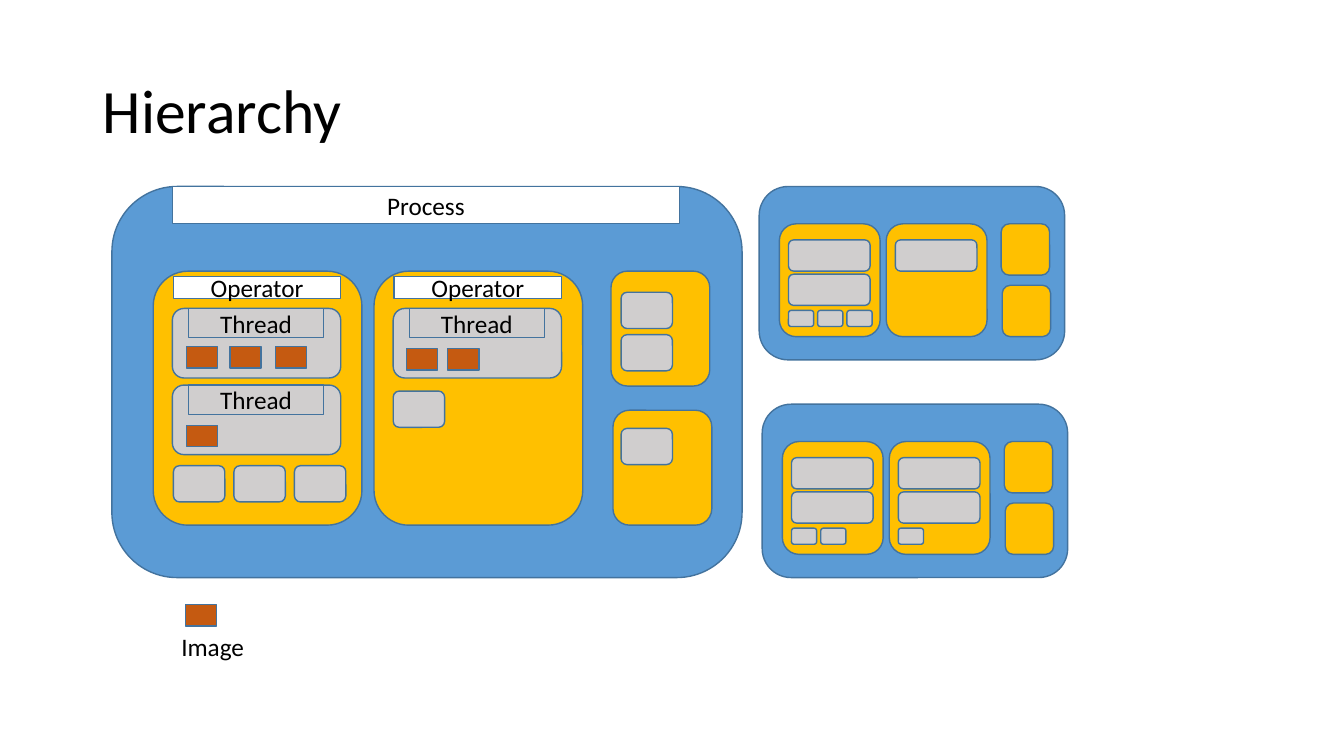
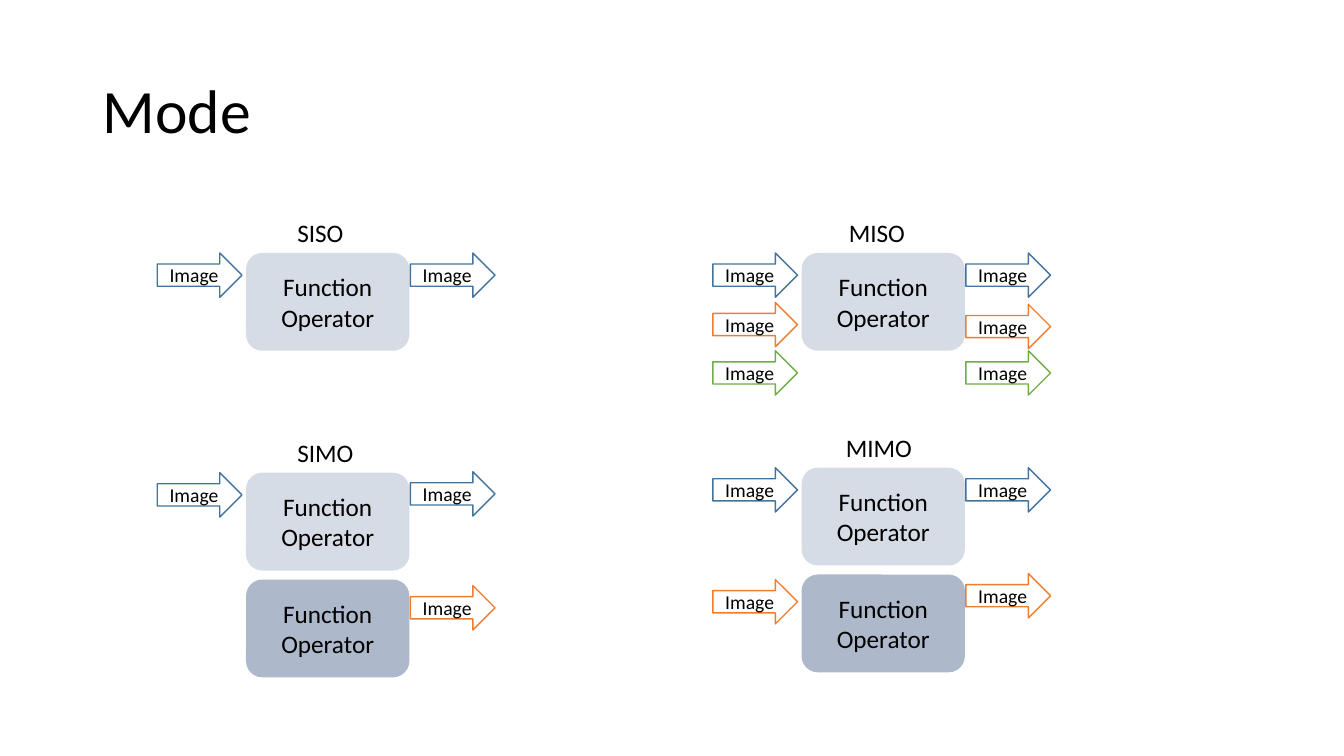
import pptx
import pptx.util
import pptx.dml.color
import pptx.enum.shapes
import pptx.enum.text

Inches = pptx.util.Inches
Pt = pptx.util.Pt
KIND = pptx.enum.shapes.MSO_SHAPE
ANCHOR = pptx.enum.text.MSO_ANCHOR
ALIGN = pptx.enum.text.PP_ALIGN

FONT = "Calibri"
BLACK, WHITE = "000000", "FFFFFF"
BLUE, EDGE = "5B9BD5", "43739E"
GOLD, GREY, RUST = "FFC000", "D0CECE", "C55A11"
FUNCTION_FILLS = ["D6DCE5", "ADB9CA"]
STREAMS = [EDGE, "ED7D31", "70AD47"]
CHIP = (0.51, 0.36)


def rgb(color):
    return pptx.dml.color.RGBColor.from_string(color)


def write(tf, lines, size, align=None, anchor=ANCHOR.MIDDLE, spacing=None):
    tf.word_wrap = True
    tf.vertical_anchor = anchor
    for i, line in enumerate(lines):
        p = tf.paragraphs[0] if i == 0 else tf.add_paragraph()
        p.alignment = align
        p.line_spacing = spacing
        r = p.add_run()
        r.text = line
        r.font.name = FONT
        r.font.size = Pt(size)
        r.font.color.rgb = rgb(BLACK)


def add_text(s, x, y, w, h, text, size=18, **style):
    sp = s.shapes.add_textbox(Inches(x), Inches(y), Inches(w), Inches(h))
    write(sp.text_frame, [text], size, **style)


def add_shape(s, kind, x, y, w, h, fill=None, line=EDGE, lines=(), size=18):
    sp = s.shapes.add_shape(kind, Inches(x), Inches(y), Inches(w), Inches(h))
    sp.shadow.inherit = False
    if fill:
        sp.fill.solid()
        sp.fill.fore_color.rgb = rgb(fill)
    else:
        sp.fill.background()
    if line:
        sp.line.color.rgb = rgb(line)
        sp.line.width = Pt(1)
    else:
        sp.line.fill.background()
    write(sp.text_frame, lines, size, ALIGN.CENTER)


def rounded(s, x, y, w, h, fill):
    add_shape(s, KIND.ROUNDED_RECTANGLE, x, y, w, h, fill)


def label(s, x, y, w, h, text, fill=WHITE):
    add_shape(s, KIND.RECTANGLE, x, y, w, h, fill, lines=[text])


def image_box(s, x, y):
    add_shape(s, KIND.RECTANGLE, x, y, 0.31, 0.21, RUST)


def thread(s, x, y, image_xs, image_dy):
    rounded(s, x, y, 1.67, 0.69, GREY)
    label(s, x + 0.16, y, 1.34, 0.29, "Thread", GREY)
    for dx in image_xs:
        image_box(s, x + dx, y + image_dy)


def operator(s, x, y):
    rounded(s, x, y, 2.07, 2.52, GOLD)
    label(s, x + 0.2, y + 0.05, 1.66, 0.22, "Operator")


def side_operator(s, x, y, chip_ys):
    rounded(s, x, y, 0.98, 1.14, GOLD)
    for chip_y in chip_ys:
        rounded(s, 6.16, chip_y, *CHIP, GREY)


def small_process(s, x, y, operators):
    rounded(s, x, y, 3.03, 1.72, BLUE)
    for col, (bars, chips) in enumerate(operators):
        left, top = x + 0.2 + 1.06 * col, y + 0.37
        rounded(s, left, top, 1, 1.12, GOLD)
        for i in range(bars):
            rounded(s, left + 0.09, top + 0.16 + 0.34 * i, 0.81, 0.31, GREY)
        for i in range(chips):
            rounded(s, left + 0.09 + 0.29 * i, top + 0.86, 0.25, 0.16, GREY)
    for i in range(2):
        rounded(s, x + 2.4 + 0.01 * i, y + 0.37 + 0.61 * i, 0.48, 0.51, GOLD)


def mode(s, x, y, name, name_dx, boxes, inputs, outputs):
    add_text(s, x + name_dx, y - 0.4, 0.95, 0.4, name, anchor=ANCHOR.TOP)
    for fill, i in zip(FUNCTION_FILLS, range(boxes)):
        add_shape(s, KIND.ROUNDED_RECTANGLE, x + 0.88, y + 1.06 * i, 1.62, 0.97,
                  fill, None, ["Function", "Operator"])
    for dx, offsets in ((0, inputs), (2.51, outputs)):
        for color, dy in zip(STREAMS, offsets):
            add_shape(s, KIND.RIGHT_ARROW, x + dx, y + dy, 0.84, 0.44,
                      line=color, lines=["Image"], size=14)


def add_slide(prs, title):
    s = prs.slides.add_slide(prs.slide_layouts[6])
    add_text(s, 0.92, 0.4, 11.5, 1.45, title, 44, spacing=0.9)
    return s


def hierarchy(prs):
    s = add_slide(prs, "Hierarchy")
    rounded(s, 1.11, 1.85, 6.25, 3.88, BLUE)
    label(s, 1.71, 1.85, 5.03, 0.37, "Process")
    operator(s, 1.52, 2.69)
    thread(s, 1.71, 3.06, [0.14, 0.57, 1.02], 0.38)
    thread(s, 1.71, 3.82, [0.14], 0.4)
    for i in range(3):
        rounded(s, 1.72 + 0.6 * i, 4.62, *CHIP, GREY)
    operator(s, 3.71, 2.69)
    thread(s, 3.9, 3.06, [0.13, 0.54], 0.4)
    rounded(s, 3.9, 3.88, *CHIP, GREY)
    side_operator(s, 6.06, 2.69, [2.9, 3.32])
    side_operator(s, 6.08, 4.07, [4.25])
    small_process(s, 7.53, 1.85, [(2, 3), (1, 0)])
    small_process(s, 7.56, 4.01, [(2, 2), (2, 1)])
    image_box(s, 1.84, 6)
    add_text(s, 1.7, 6.21, 0.96, 0.4, "Image", anchor=ANCHOR.TOP)


def modes(prs):
    s = add_slide(prs, "Mode")
    mode(s, 1.56, 2.51, "SISO", 1.29, 1, [0], [0])
    mode(s, 1.56, 4.69, "SIMO", 1.29, 2, [0], [-0.01, 1.12])
    mode(s, 7.07, 2.51, "MISO", 1.25, 1, [0, 0.49, 0.97], [0, 0.51, 0.97])
    mode(s, 7.07, 4.64, "MIMO", 1.22, 2, [0, 1.11], [0, 1.05])


def main():
    prs = pptx.Presentation()
    prs.slide_width, prs.slide_height = Inches(13.33), Inches(7.5)
    hierarchy(prs)
    modes(prs)
    prs.save("out.pptx")


main()
